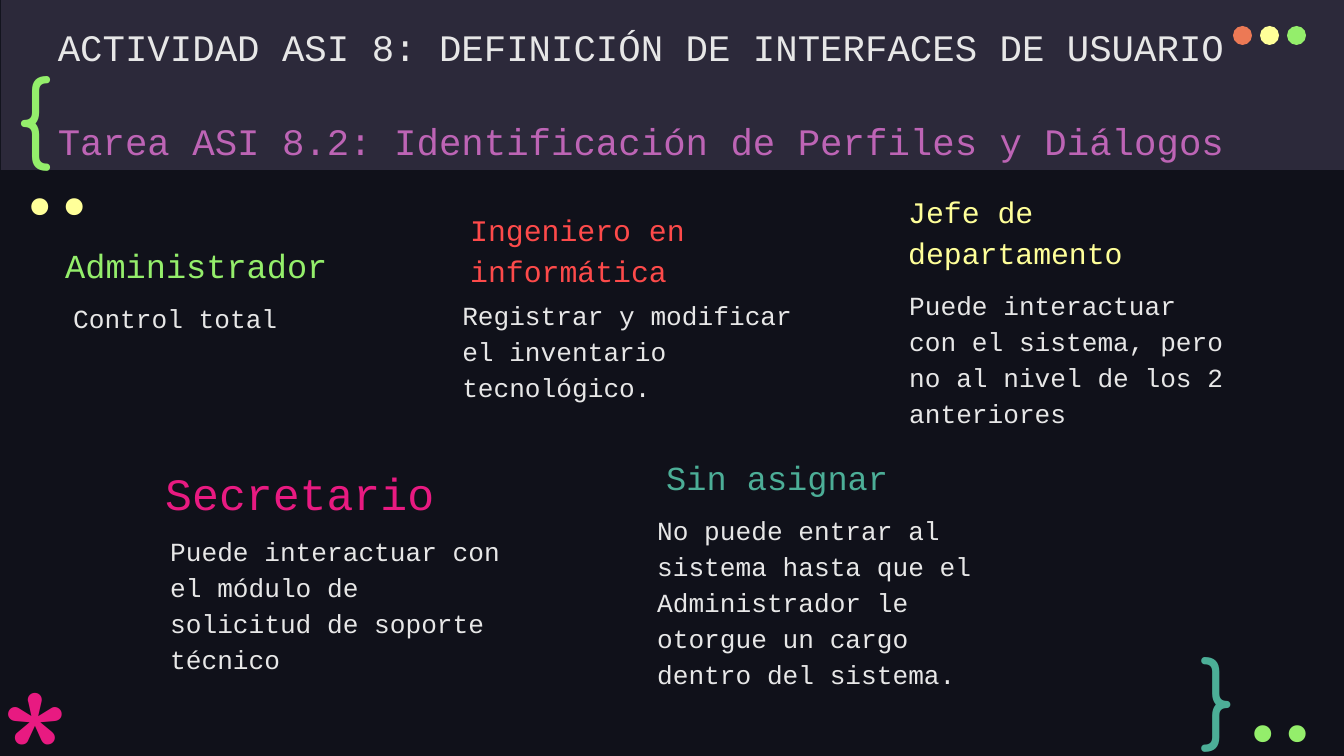
from pptx import Presentation
from pptx.dml.color import RGBColor
from pptx.enum.shapes import MSO_SHAPE
from pptx.enum.text import MSO_ANCHOR, PP_ALIGN
from pptx.util import Emu, Inches, Pt

PX_PER_INCH = 134.4
NIGHT, BAND, WHITE = "10111A", "2C293A", "E7E7E7"
GREEN, YELLOW, ORANGE = "94EE6B", "FFFF99", "EC7955"
RED, PINK, TEAL, PURPLE = "FD4A4A", "E81A81", "4CAE97", "BD64B5"

# Role, colour, size, heading box, permissions, permissions box
PROFILES = [
    ("Administrador", GREEN, 18, (52, 226, 290, 73),
     "Control total", (60, 284, 292, 129)),
    ("Ingeniero en informática", RED, 16, (457, 208, 290, 94),
     "Registrar y modificar el inventario tecnológico.", (449, 281, 362, 129)),
    ("Jefe de departamento", YELLOW, 16, (895, 211, 290, 73),
     "Puede interactuar con el sistema, pero no al nivel de los 2 anteriores",
     (896, 271, 348, 168)),
    ("Secretario", PINK, 24, (152, 460, 324, 73),
     "Puede interactuar con el módulo de solicitud de soporte técnico",
     (157, 517, 371, 129)),
    ("Sin asignar", TEAL, 18, (653, 438, 290, 73),
     "No puede entrar al sistema hasta que el Administrador le otorgue "
     "un cargo dentro del sistema.", (644, 496, 383, 203)),
]

# Symbol, colour, font, size, box
BRACES = [
    ("{", GREEN, "Comfortaa", 50, (3, 43, 103, 128)),
    ("}", TEAL, "Comfortaa", 50, (1187, 624, 77, 112)),
    ("*", PINK, "Comfortaa", 96, (-13, 641, 77, 117)),
]
DOT_PAIRS = [(GREEN, (1207, 664, 144, 81)), (YELLOW, (-16, 137, 144, 81))]


def px(length):
    return Emu(round(length * 914400 / PX_PER_INCH))


def rgb(value):
    return RGBColor.from_string(value)


def add_filled(slide, preset, box, color):
    shape = slide.shapes.add_shape(preset, *map(px, box))
    shape.shadow.inherit = False
    shape.fill.solid()
    shape.fill.fore_color.rgb = rgb(color)
    shape.line.fill.background()


def add_frame(slide, box, anchor=MSO_ANCHOR.TOP):
    frame = slide.shapes.add_textbox(*map(px, box)).text_frame
    frame.word_wrap = True
    frame.vertical_anchor = anchor
    frame.margin_left = frame.margin_right = Inches(0.1)
    frame.margin_top = frame.margin_bottom = Inches(0.1)
    return frame


def write(paragraph, text, *, size, color, font="Courier New",
          align=PP_ALIGN.LEFT, spacing=1.0, before=0):
    paragraph.alignment = align
    paragraph.line_spacing = spacing
    paragraph.space_before = Pt(before)
    run = paragraph.add_run()
    run.text = text
    run.font.size = Pt(size)
    run.font.name = font
    run.font.color.rgb = rgb(color)


def add_title(slide):
    title = add_frame(slide, (3, 4, 1277, 175))
    write(title.paragraphs[0],
          "ACTIVIDAD ASI 8: DEFINICIÓN DE INTERFACES DE USUARIO",
          size=20, color=WHITE, align=PP_ALIGN.CENTER, spacing=1.15)
    write(title.add_paragraph(),
          "Tarea ASI 8.2: Identificación de Perfiles y Diálogos",
          size=20, color=PURPLE, align=PP_ALIGN.CENTER, spacing=1.15, before=22.7)


def add_profile(slide, role, color, size, role_box, access, access_box):
    write(add_frame(slide, access_box).paragraphs[0], access,
          size=14, color=WHITE, spacing=1.15)
    heading = add_frame(slide, role_box, MSO_ANCHOR.BOTTOM)
    write(heading.paragraphs[0], role, size=size, color=color, spacing=1.15)


def add_ornaments(slide):
    for symbol, color, font, size, box in BRACES:
        write(add_frame(slide, box).paragraphs[0], symbol,
              size=size, color=color, font=font)
    for color, box in DOT_PAIRS:
        dots = add_frame(slide, box, MSO_ANCHOR.MIDDLE)
        write(dots.paragraphs[0], "..", size=50, color=color,
              font="Fira Code", align=PP_ALIGN.RIGHT)
    # Window buttons
    for i, color in enumerate((ORANGE, YELLOW, GREEN)):
        add_filled(slide, MSO_SHAPE.OVAL, (1233 + 27 * i, 26, 19, 19), color)


def main():
    prs = Presentation()
    prs.slide_width, prs.slide_height = px(1344), px(756)
    slide = prs.slides.add_slide(prs.slide_layouts[6])
    slide.background.fill.solid()
    slide.background.fill.fore_color.rgb = rgb(NIGHT)

    # Header band and title
    add_filled(slide, MSO_SHAPE.RECTANGLE, (1, 0, 1344, 170), BAND)
    add_title(slide)

    # User profiles
    for profile in PROFILES:
        add_profile(slide, *profile)

    # Code-style decoration
    add_ornaments(slide)
    prs.save("out.pptx")


if __name__ == "__main__":
    main()
